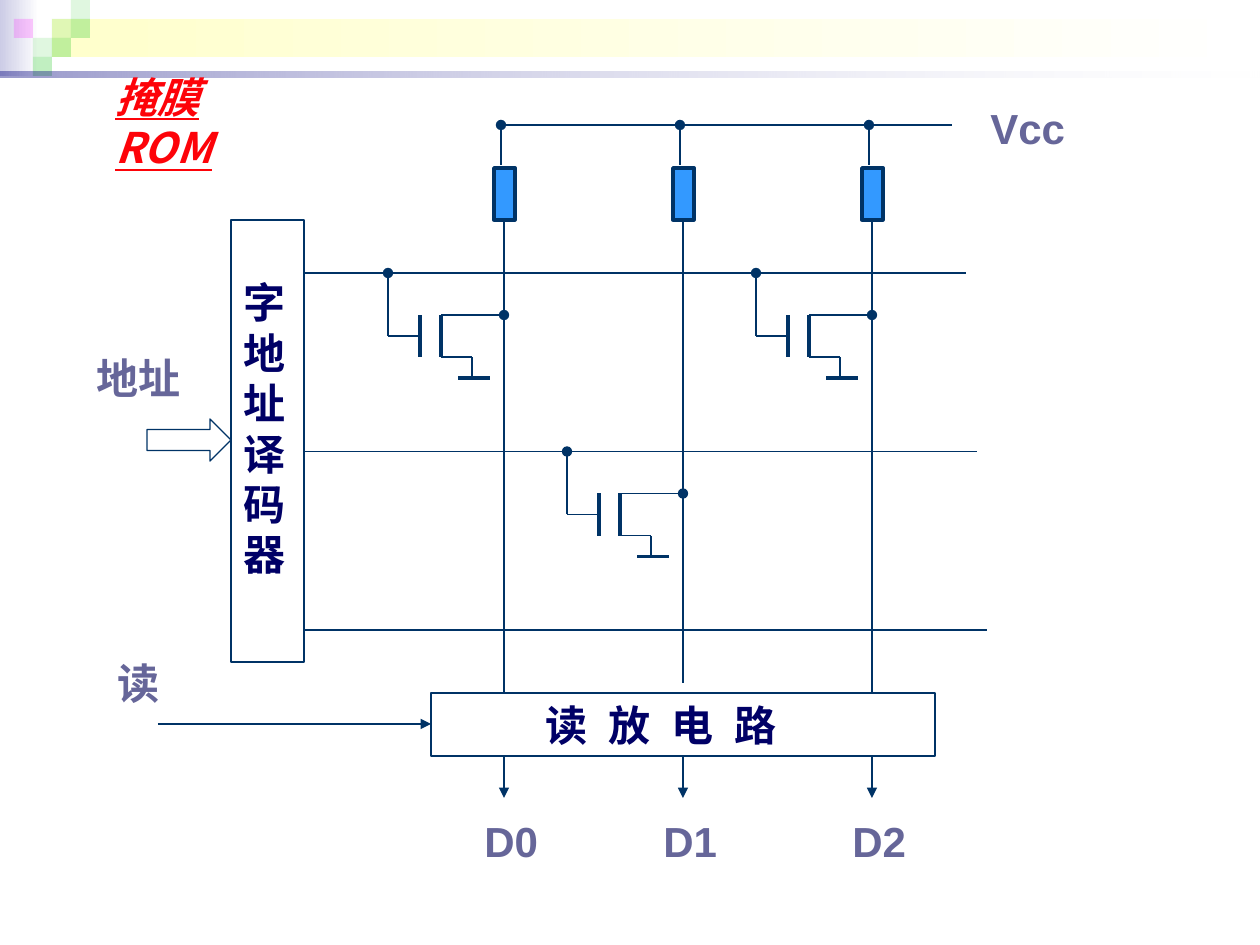
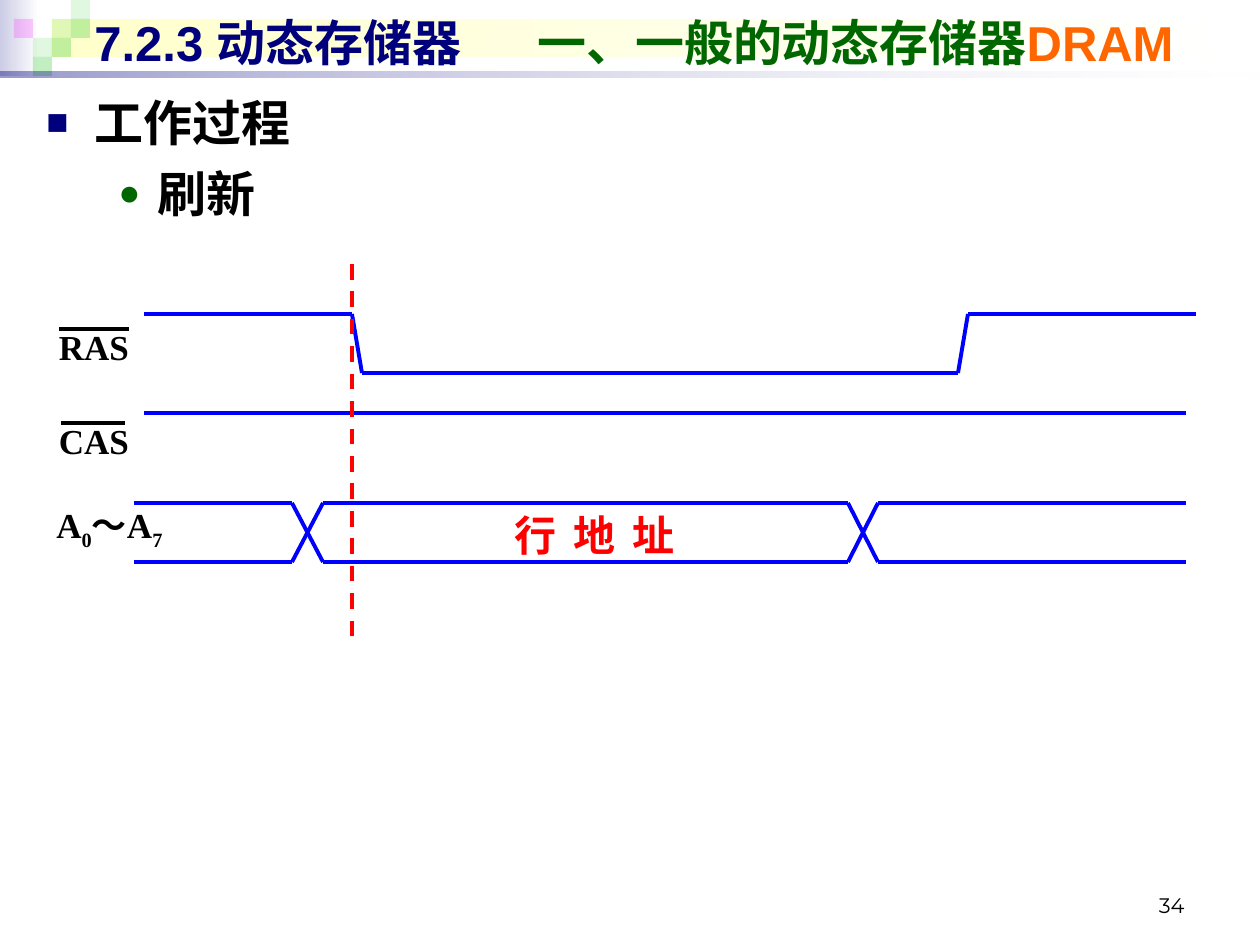
"""Two slides on memory circuits: a mask ROM matrix and a DRAM refresh timing chart."""
import itertools

import pptx
import pptx.dml.color
import pptx.enum.shapes
import pptx.enum.text
import pptx.oxml.ns
import pptx.util
from lxml import etree

SCALE = 914400 / 126
SHAPES = pptx.enum.shapes.MSO_SHAPE
ALIGN = pptx.enum.text.PP_ALIGN
ANCHOR = pptx.enum.text.MSO_ANCHOR

NAVY, GREEN, ORANGE = "00007D", "006600", "FF6600"
BLACK, WHITE, RED, BLUE = "000000", "FFFFFF", "FF0000", "0000FF"
WIRE, RESISTOR, LABEL, BLOCK_TEXT = "003366", "3399FF", "666699", "000066"
SANS, SERIF, CJK = "Arial", "Times New Roman", "Noto Sans CJK JP"
THIN, THICK, OUTLINE, SIGNAL = 0.74, 2.01, 1.5, 2.24


def px(length):
    """Turn pixels into EMU."""
    return pptx.util.Emu(round(length * SCALE))


def color(code):
    """Turn a hex string into a colour."""
    return pptx.dml.color.RGBColor.from_string(code)


def add_xml(parent, tag, **attributes):
    """Append a DrawingML element to a parent."""
    return etree.SubElement(parent, pptx.oxml.ns.qn("a:" + tag), attributes)


def add_line(page, start, end, code, width, tail=None, dash=None):
    """Draw a straight line, with an optional end mark or dash."""
    line = page.shapes.add_connector(
        pptx.enum.shapes.MSO_CONNECTOR.STRAIGHT, *map(px, start + end))
    line.line.color.rgb = color(code)
    line.line.width = pptx.util.Pt(width)
    outline = line.line._get_or_add_ln()
    if dash:
        add_xml(outline, "prstDash", val=dash)
    if tail:
        add_xml(outline, "tailEnd", type=tail)
    add_xml(line._element.spPr, "effectLst")
    return line


def add_wave(page, points, code=BLUE):
    """Draw a signal through a list of points."""
    for start, end in itertools.pairwise(points):
        add_line(page, start, end, code, SIGNAL)


def add_box(page, box, fill=None, line=None, width=THIN, kind=SHAPES.RECTANGLE,
            alphas=()):
    """Draw a preset shape; a pair of fills makes a left-to-right gradient."""
    shape = page.shapes.add_shape(kind, *map(px, box))
    shape.shadow.inherit = False
    if isinstance(fill, tuple):
        shape.fill.gradient()
        shape.fill.gradient_angle = 0
        for stop, code in zip(shape.fill.gradient_stops, fill):
            stop.color.rgb = color(code)
    elif fill:
        shape.fill.solid()
        shape.fill.fore_color.rgb = color(fill)
    else:
        shape.fill.background()
    tones = list(shape._element.spPr.iter(pptx.oxml.ns.qn("a:srgbClr")))
    for tone, alpha in zip(tones, alphas):
        add_xml(tone, "alpha", val=str(alpha * 1000))
    if line:
        shape.line.color.rgb = color(line)
        shape.line.width = pptx.util.Pt(width)
    else:
        shape.line.fill.background()
    return shape


def style_para(para, size, font, code, bold=True, align=ALIGN.LEFT, spacing=0):
    """Format a paragraph and all its runs alike."""
    para.alignment = align
    para.line_spacing = pptx.util.Pt(round(size * 1.2, 1))
    for span in para.runs:
        span.font.size = pptx.util.Pt(size)
        span.font.name = font
        span.font.bold = bold
        span.font.color.rgb = color(code)
        properties = span._r.get_or_add_rPr()
        add_xml(properties, "ea", typeface=CJK)
        if spacing:
            properties.set("spc", str(round(spacing * 100)))


def set_text(shape, text, size, font, code, anchor=ANCHOR.TOP, **style):
    """Put one styled paragraph into a shape or text box."""
    frame = shape.text_frame
    frame.word_wrap = True
    frame.vertical_anchor = anchor
    frame.text = text
    style_para(frame.paragraphs[0], size, font, code, **style)
    return frame


def add_text(page, box, text, size, font, code, **style):
    """Add a text box with one paragraph."""
    return set_text(page.shapes.add_textbox(*map(px, box)),
                    text, size, font, code, **style)


def add_spans(para, texts):
    """Fill a paragraph with several runs."""
    for text in texts:
        para.add_run().text = text


def draw_header(page, box):
    """Draw the band, the coloured squares and the rule shared by all slides."""
    left, top, width, height = box
    cell = 19
    add_box(page, (left, top, 39, 76), ("CCCCE6", WHITE))
    add_box(page, (left + 52, top + cell, 1203, 2 * cell), ("FFFFCC", WHITE))
    squares = [(2, 1, 15), (3, 0, 15), (3, 1, 30), (1, 2, 15),
               (0, 1, 20), (2, 2, 30), (1, 3, 30)]
    for column, row, alpha in squares:
        tone = "FF00FF" if column == 0 else "33CC33"
        spot = (left + 14 + cell * column, top + cell * row, cell, cell)
        add_box(page, spot, tone, alphas=[alpha])
    add_box(page, (left, top + height - 6, width, 6), (NAVY, WHITE), alphas=(40, 10))


def draw_transistor(page, column, row):
    """Draw a transistor that ties a bit line to a word line."""
    gate, channel, lead, source = column - 84, column - 63, column - 116, column - 32
    top, middle, bottom, ground = row + 42, row + 63, row + 84, row + 105
    for bar in (gate, channel):
        add_line(page, (bar, top), (bar, bottom), WIRE, THICK)
    add_line(page, (channel, top), (column, top), WIRE, THIN, tail="oval")
    add_line(page, (channel, bottom), (source, bottom), WIRE, THIN)
    add_line(page, (source, ground), (source, bottom), WIRE, THIN)
    add_line(page, (source + 18, ground), (source - 14, ground), WIRE, THICK)
    add_line(page, (gate, middle), (lead, middle), WIRE, THIN)
    add_line(page, (lead, middle), (lead, row), WIRE, THIN, tail="oval")


def draw_matrix(page, box):
    """Draw word lines, bit lines with pull-up resistors, and transistors."""
    left, top, width, height = box
    columns = [left + 199, left + 378, left + 567]
    rows = [top + 148 + 178.5 * index for index in range(3)]
    for index, row in enumerate(rows):
        add_line(page, (left, row), (left + 661 + 10.5 * index, row), WIRE, THIN)
    for index, column in enumerate(columns):
        end = top + height - (10 if index == 1 else 0)
        add_line(page, (column, end), (column, top + 95), WIRE, THIN)
        add_box(page, (column - 10, top + 43, 21, 52), RESISTOR, WIRE, THICK)
        add_line(page, (column - 3, top + 40), (column - 3, top), WIRE, THIN, tail="oval")
    add_line(page, (columns[0] - 3, top), (left + 647, top), WIRE, THIN)
    add_text(page, (left + 673, top - 29, 105, 63), "Vcc", 24, SANS, LABEL)
    for column, row in ((0, 0), (2, 0), (1, 1)):
        draw_transistor(page, columns[column], rows[row])


def draw_decoder(page, box):
    """Draw the address decoder and its input arrow."""
    left, top, width, height = box
    block = add_box(page, box, WHITE, WIRE, OUTLINE)
    frame = set_text(block, "字地址译码器", 24, SERIF, BLOCK_TEXT)
    frame.margin_top = px(57)
    add_box(page, (left - 84, top + 199, 84, 42), None, WIRE, kind=SHAPES.RIGHT_ARROW)
    add_text(page, (left - 147, top + 126, 116, 63), "地址", 24, SANS, LABEL)


def draw_read_circuit(page, box):
    """Draw the read circuit with its control input and data outputs."""
    left, top, width, height = box
    bottom = top + height
    block = add_box(page, box, WHITE, WIRE, OUTLINE)
    frame = set_text(block, "读 放 电 路", 24, SERIF, BLOCK_TEXT, spacing=3.3)
    frame.margin_left = px(115)
    for index, offset in enumerate((73, 252, 441)):
        column = left + offset
        add_line(page, (column, bottom), (column, bottom + 42), WIRE, THIN, tail="triangle")
        add_text(page, (column - 32, bottom + 53, 95, 63), f"D{index}", 24, SANS, LABEL)
    add_line(page, (left - 273, top + 31), (left, top + 31), WIRE, THIN, tail="triangle")
    add_text(page, (left - 326, top - 42, 84, 63), "读", 24, SANS, LABEL)


def draw_rom_title(page, box):
    """Write the slanted red caption, narrow enough to break before ROM."""
    frame = add_text(page, box, "掩膜ROM", 24, CJK, "FD0309")
    frame.margin_right = px(92)
    font = frame.paragraphs[0].runs[0].font
    font.italic = font.underline = True


def draw_title(page, box):
    """Write the three-coloured slide title with a tab between its parts."""
    frame = add_text(page, box, "", 28, SANS, NAVY, anchor=ANCHOR.MIDDLE)
    para = frame.paragraphs[0]
    add_spans(para, ["7.2.3 动态存储器\t", "一、一般的动态存储器", "DRAM"])
    style_para(para, 28, SANS, NAVY)
    for span, code in zip(para.runs[1:], (GREEN, ORANGE)):
        span.font.color.rgb = color(code)
    stops = add_xml(para._p.get_or_add_pPr(), "tabLst")
    add_xml(stops, "tab", pos=str(px(443)), algn="l")


def draw_outline(page, box):
    """Write the two-level bulleted list."""
    frame = add_text(page, box, "工作过程\n刷新", 28, SERIF, BLACK)
    bullets = [("■", NAVY, 48, 48), ("●", GREEN, 111, 39)]
    for level, (mark, code, margin, hang) in enumerate(bullets):
        para = frame.paragraphs[level]
        if level:
            style_para(para, 28, SERIF, BLACK)
            para.space_before = pptx.util.Pt(7)
        para.level = level
        properties = para._p.get_or_add_pPr()
        properties.set("marL", str(px(margin)))
        properties.set("indent", str(-px(hang)))
        add_xml(add_xml(properties, "buClr"), "srgbClr", val=code)
        add_xml(properties, "buSzPct", val="75000")
        add_xml(properties, "buFont", typeface=SANS)
        add_xml(properties, "buChar", char=mark)


def draw_timing(page, box):
    """Draw the strobe and address signals with their labels."""
    left, top, width, height = box
    right, start = left + width, left + 100
    high, low = top + 50, top + 109
    for name, offset, bar in (("RAS", 55, (15, 85)), ("CAS", 149, (17, 81))):
        add_text(page, (left, top + offset, 100, 55), name, 20, SERIF, BLACK,
                 align=ALIGN.CENTER)
        add_line(page, (left + bar[0], top + offset + 10),
                 (left + bar[1], top + offset + 10), BLACK, SIGNAL)
    add_wave(page, [(start, high), (left + 308, high), (left + 318, low),
                    (left + 914, low), (left + 924, high), (right, high)])
    add_wave(page, [(start, top + 149), (right - 10, top + 149)])

    upper, lower = top + 239, top + 298
    for first, second in ((upper, lower), (lower, upper)):
        add_wave(page, [(left + 90, first), (left + 248, first),
                        (left + 279, second), (left + 804, second),
                        (left + 834, first), (right - 10, first)])
    add_text(page, (left + 407, upper, 287, 63), "行 地 址", 24, SERIF, RED,
             align=ALIGN.CENTER, spacing=2.25)
    frame = add_text(page, (left, upper, 149, 60), "", 20, SERIF, BLACK)
    para = frame.paragraphs[0]
    add_spans(para, ["A", "0", "～A", "7"])
    style_para(para, 20, SERIF, BLACK)
    for span in para.runs[1::2]:
        span._r.get_or_add_rPr().set("baseline", "-25000")
    add_line(page, (left + 308, top), (left + 308, top + height), RED, SIGNAL, dash="dash")


def build_page(deck):
    """Add a blank slide with the shared header."""
    page = deck.slides.add_slide(deck.slide_layouts[6])
    draw_header(page, (0, 0, 1260, 78))
    return page


def build_rom_page(deck):
    """Build the mask ROM slide."""
    page = build_page(deck)
    draw_matrix(page, (305, 125, 682, 568))
    draw_decoder(page, (231, 220, 73, 442))
    draw_read_circuit(page, (431, 693, 504, 63))
    draw_rom_title(page, (103, 65, 212, 63))


def build_dram_page(deck):
    """Build the DRAM refresh slide."""
    page = build_page(deck)
    add_text(page, (903, 861, 294, 63), "34", 12, "Montserrat", BLACK,
             bold=False, align=ALIGN.RIGHT, anchor=ANCHOR.BOTTOM)
    draw_title(page, (82, 6, 1154, 72))
    draw_outline(page, (34, 86, 665, 824))
    draw_timing(page, (44, 264, 1152, 377))


deck = pptx.Presentation()
deck.slide_width, deck.slide_height = px(1260), px(945)
build_rom_page(deck)
build_dram_page(deck)
deck.save("out.pptx")
